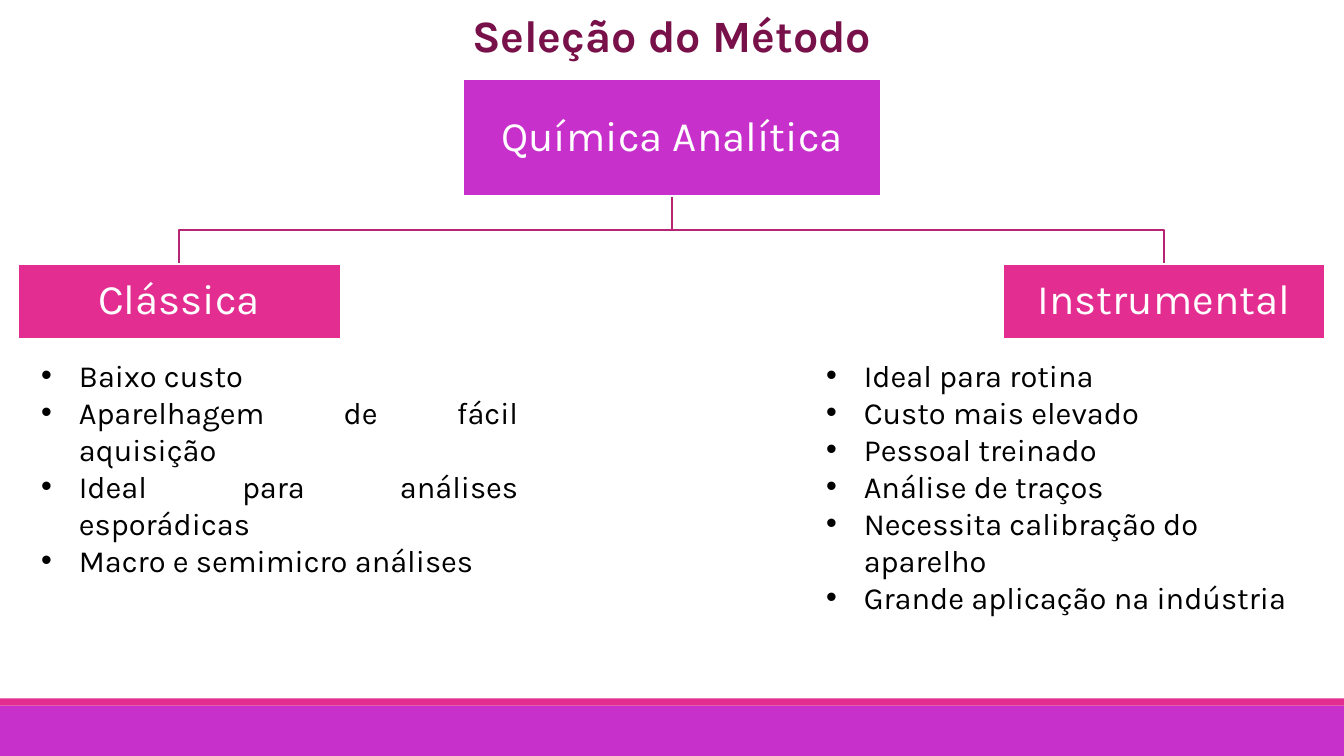
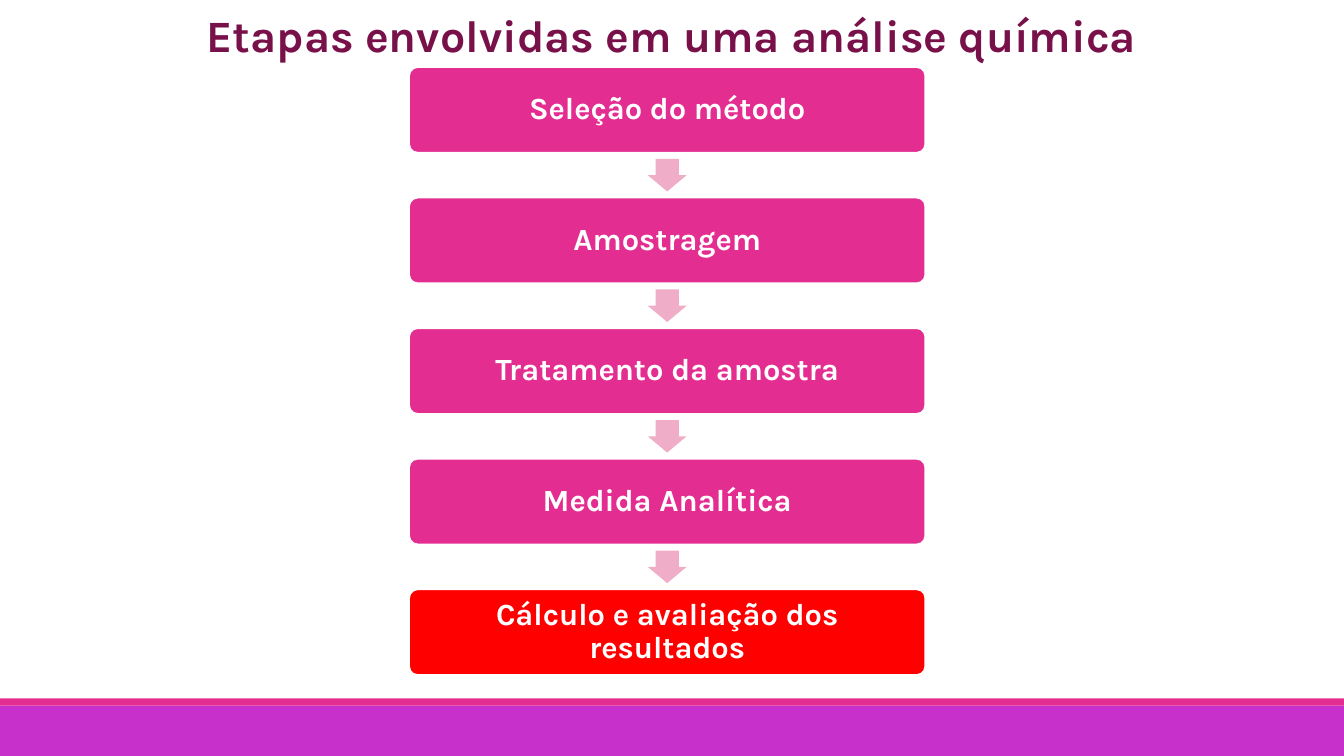
from lxml.etree import SubElement
from pptx import Presentation
from pptx.dml.color import RGBColor
from pptx.enum.shapes import MSO_SHAPE
from pptx.enum.text import MSO_ANCHOR, PP_ALIGN
from pptx.oxml.ns import qn
from pptx.util import Cm, Pt

FONT = "Karla"
PURPLE, PINK, PALE_PINK, RED = "C830CC", "E32D91", "EFADC7", "FF0000"
TITLE_COLOR, BRANCH_COLOR = "781049", "B62474"
WHITE, BLACK = "FFFFFF", "000000"
SLIDE_W, SLIDE_H = 33.87, 19.05


def rgb(value):
    return RGBColor.from_string(value)


def style(p, size, color, bold=False, align=PP_ALIGN.CENTER):
    p.alignment = align
    for r in p.runs:
        r.font.name = FONT
        r.font.size = Pt(size)
        r.font.bold = bold
        r.font.color.rgb = rgb(color)


def add_shape(slide, kind, left, top, width, height, fill, line=None):
    s = slide.shapes.add_shape(kind, Cm(left), Cm(top), Cm(width), Cm(height))
    s.shadow.inherit = False
    s.fill.solid()
    s.fill.fore_color.rgb = rgb(fill)
    if line:
        s.line.color.rgb = rgb(line)
        s.line.width = Pt(1.25)
    else:
        s.line.fill.background()
    return s


def add_box(slide, kind, box, text, fill, size, inset, bold=False):
    s = add_shape(slide, kind, *box, fill, WHITE)
    tf = s.text_frame
    tf.word_wrap = True
    tf.vertical_anchor = MSO_ANCHOR.MIDDLE
    tf.margin_left = tf.margin_right = Cm(inset)
    tf.margin_top = tf.margin_bottom = Cm(inset)
    tf.text = text
    tf.paragraphs[0].line_spacing = 0.9
    style(tf.paragraphs[0], size, WHITE, bold)
    return s


def add_bullets(slide, left, top, width, height, items, align):
    tb = slide.shapes.add_textbox(Cm(left), Cm(top), Cm(width), Cm(height))
    tf = tb.text_frame
    tf.word_wrap = True
    tf.text = "\n".join(items)
    for p in tf.paragraphs:
        pPr = p._p.get_or_add_pPr()
        pPr.set("marL", str(Cm(0.95)))
        pPr.set("indent", str(-Cm(0.95)))
        SubElement(pPr, qn("a:buFont")).set("typeface", "Arial")
        SubElement(pPr, qn("a:buChar")).set("char", "•")
        style(p, 22, BLACK, align=align)


def add_branch(slide, parent, child):
    """Draw an elbow line from the bottom of parent to the top of child."""
    x1, y1 = parent.left + parent.width // 2, parent.top + parent.height
    x2, y2 = child.left + child.width // 2, child.top
    middle = (y1 + y2) // 2
    builder = slide.shapes.build_freeform(x1, y1)
    builder.add_line_segments([(x1, middle), (x2, middle), (x2, y2)], close=False)
    s = builder.convert_to_shape()
    s.shadow.inherit = False
    s.fill.background()
    s.line.color.rgb = rgb(BRANCH_COLOR)
    s.line.width = Pt(1.25)
    # Behind the boxes
    slide.shapes.element.insert(2, s.element)


def add_titled_slide(prs, layout, title):
    slide = prs.slides.add_slide(layout)
    s = slide.shapes.title
    s.left, s.top, s.width, s.height = Cm(0), Cm(0.05), Cm(SLIDE_W), Cm(1.62)
    tf = s.text_frame
    tf.text = title
    tf.vertical_anchor = MSO_ANCHOR.MIDDLE
    style(tf.paragraphs[0], 32, TITLE_COLOR, bold=True)
    return slide


def move_bands_to_layout(slide):
    """Draw the footer bands and hand them to the layout all slides share."""
    for top, height, color in ((17.6, 0.18, PINK), (17.78, 1.27, PURPLE)):
        band = add_shape(slide, MSO_SHAPE.RECTANGLE, 0, top, SLIDE_W, height, color)
        slide.slide_layout.shapes.element.insert(2, band.element)


def build_method_tree(slide):
    # Hierarchy
    root, classic, instrumental = [
        add_box(slide, MSO_SHAPE.RECTANGLE, box, text, fill, 30, 0.05)
        for box, text, fill in (
            ((11.68, 2, 10.52, 2.94), "Química Analítica", PURPLE),
            ((0.45, 6.65, 8.13, 1.89), "Clássica", PINK),
            ((25.27, 6.65, 8.13, 1.89), "Instrumental", PINK),
        )
    ]
    for child in (classic, instrumental):
        add_branch(slide, root, child)

    # Features of each branch
    add_bullets(slide, 0.79, 8.86, 12.52, 5.6, [
        "Baixo custo",
        "Aparelhagem de fácil aquisição",
        "Ideal para análises esporádicas",
        "Macro e semimicro análises",
    ], PP_ALIGN.JUSTIFY)
    add_bullets(slide, 20.57, 8.86, 12.88, 6.5, [
        "Ideal para rotina",
        "Custo mais elevado",
        "Pessoal treinado",
        "Análise de traços",
        "Necessita calibração do aparelho",
        "Grande aplicação na indústria",
    ], PP_ALIGN.LEFT)


def build_steps(slide):
    steps = ["Seleção do método", "Amostragem", "Tratamento da amostra",
             "Medida Analítica", "Cálculo e avaliação dos resultados"]
    left, first_top, width, height, pitch = 10.31, 1.69, 13.01, 2.16, 3.29
    arrow_w, arrow_h = 0.98, 0.82
    last = len(steps) - 1
    for i, text in enumerate(steps):
        top = first_top + i * pitch
        s = add_box(slide, MSO_SHAPE.ROUNDED_RECTANGLE, (left, top, width, height),
                    text, RED if i == last else PINK, 22, 0.24, bold=True)
        s.adjustments[0] = 0.1
        if i < last:
            arrow = add_shape(slide, MSO_SHAPE.DOWN_ARROW,
                              left + (width - arrow_w) / 2,
                              top + (height + pitch - arrow_h) / 2,
                              arrow_w, arrow_h, PALE_PINK)
            arrow.adjustments[0] = 0.6
            arrow.adjustments[1] = 0.5


def main():
    prs = Presentation()
    prs.slide_width, prs.slide_height = Cm(SLIDE_W), Cm(SLIDE_H)
    layout = prs.slide_layouts[5]

    slide = add_titled_slide(prs, layout, "Seleção do Método")
    move_bands_to_layout(slide)
    build_method_tree(slide)

    build_steps(add_titled_slide(prs, layout, "Etapas envolvidas em uma análise química"))
    prs.save("out.pptx")


if __name__ == "__main__":
    main()
